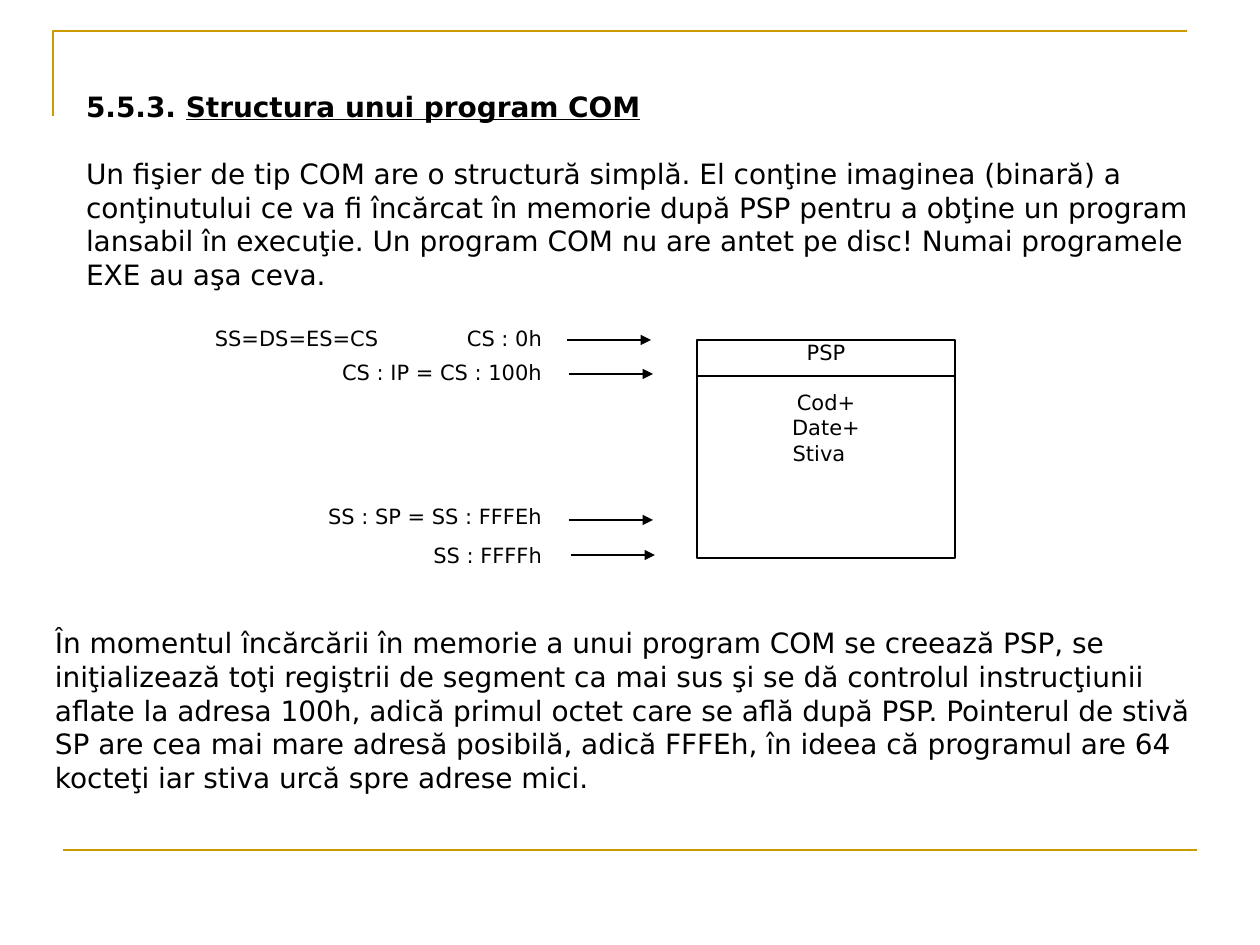
"""Build the slide on the structure of a COM program."""
from dataclasses import dataclass

from lxml import etree
from pptx import Presentation
from pptx.dml.color import RGBColor
from pptx.enum.shapes import MSO_CONNECTOR, MSO_SHAPE
from pptx.enum.text import MSO_ANCHOR, PP_ALIGN
from pptx.oxml.ns import qn
from pptx.util import Emu, Pt

LEFT, CENTER, RIGHT = PP_ALIGN.LEFT, PP_ALIGN.CENTER, PP_ALIGN.RIGHT
TOP = MSO_ANCHOR.TOP
STRAIGHT = MSO_CONNECTOR.STRAIGHT
RECTANGLE = MSO_SHAPE.RECTANGLE
PX_PER_INCH = 126
FONT = "DejaVu Sans"
BLACK, WHITE, GOLD = "000000", "FFFFFF", "CC9900"
TAB_COUNT = 8


@dataclass
class Run:
    text: str
    bold: bool = False
    underline: bool = False


@dataclass
class Line:
    runs: list[Run]
    space_before: int = 0
    right_indent: int = 0


@dataclass
class Box:
    left: int
    top: int
    width: int
    height: int


@dataclass
class Label:
    text: str
    box: Box
    arrow_left: int
    arrow_right: int
    arrow_y: int


BODY_INSETS = (13, 6)
NO_INSETS = (0, 0)
MEMORY = Box(697, 340, 258, 218)
DIVIDER_Y = 376

INTRO = [
    Line([Run("5.5.3. ", bold=True),
          Run("Structura unui program COM", bold=True, underline=True)]),
    Line([Run("Un fişier de tip COM are o structură simplă. El conţine imaginea "
              "(binară) a conţinutului ce va fi încărcat în memorie după PSP pentru "
              "a obţine un program lansabil în execuţie. Un program COM nu are antet "
              "pe disc! Numai programele EXE au aşa ceva.")], space_before=19),
]
CLOSING = [
    Line([Run("În momentul încărcării în memorie a unui program COM se creează PSP, "
              "se iniţializează toţi regiştrii de segment ca mai sus şi se dă "
              "controlul instrucţiunii aflate la adresa 100h, adică primul octet "
              "care se află după PSP. Pointerul de stivă SP are cea mai mare adresă "
              "posibilă, adică FFFEh, în ideea că programul are 64 kocteţi iar stiva "
              "urcă spre adrese mici.")]),
]
MEMORY_LINES = [
    Line([Run("PSP")]),
    Line([Run("Cod+")], space_before=14),
    Line([Run("Date+")]),
    Line([Run("Stiva")], right_indent=14),
]
LABELS = [
    Label("SS=DS=ES=CS\tCS : 0h", Box(73, 325, 469, 34), 567, 651, 340),
    Label("CS : IP = CS : 100h", Box(270, 360, 272, 34), 569, 653, 374),
    Label("SS : SP = SS : FFFEh", Box(248, 504, 294, 34), 569, 653, 520),
    Label("SS : FFFFh", Box(346, 543, 196, 34), 571, 655, 555),
]


def px(length: int) -> Emu:
    """Turn pixels into EMU."""
    return Emu(round(length * 914400 / PX_PER_INCH))


def color(value: str) -> RGBColor:
    """Turn a hex string into a colour."""
    return RGBColor.from_string(value)


def set_values(target, values: dict) -> None:
    """Set each attribute named in the values."""
    for name, value in values.items():
        setattr(target, name, value)


def set_line(shape, line_color: str, width: float) -> None:
    """Give a shape or connector its line."""
    shape.line.color.rgb = color(line_color)
    shape.line.width = Pt(width)


def add_tab_stops(properties) -> None:
    """Add left tab stops one inch apart."""
    tab_list = etree.SubElement(properties, qn("a:tabLst"))
    for index in range(TAB_COUNT):
        etree.SubElement(tab_list, qn("a:tab"),
                         pos=str(px(index * PX_PER_INCH)), algn="l")


def add_text(slide, box: Box, lines: list[Line], size: int, alignment,
             insets: tuple[int, int]) -> None:
    """Add a wrapped text box holding the lines."""
    shape = slide.shapes.add_textbox(px(box.left), px(box.top),
                                     px(box.width), px(box.height))
    frame = shape.text_frame
    side, end = map(px, insets)
    set_values(frame, {"word_wrap": True, "vertical_anchor": TOP,
                       "margin_left": side, "margin_right": side,
                       "margin_top": end, "margin_bottom": end})
    for index, line in enumerate(lines):
        paragraph = frame.add_paragraph() if index else frame.paragraphs[0]
        set_values(paragraph, {"alignment": alignment,
                               "space_before": Pt(line.space_before)})
        properties = paragraph._p.get_or_add_pPr()
        if line.right_indent:
            properties.set("marR", str(px(line.right_indent)))
        add_tab_stops(properties)
        for item in line.runs:
            run = paragraph.add_run()
            run.text = item.text
            set_values(run.font, {"name": FONT, "size": Pt(size), "bold": item.bold,
                                  "underline": item.underline})
            run.font.color.rgb = color(BLACK)


def add_rule(slide, left: int, right: int, y: int, line_color: str = BLACK,
             width: float = 0.75, arrow: bool = False) -> None:
    """Add a horizontal line, with an arrowhead at its right end if asked."""
    connector = slide.shapes.add_connector(STRAIGHT, px(left), px(y), px(right), px(y))
    set_line(connector, line_color, width)
    if arrow:
        etree.SubElement(connector.line._get_or_add_ln(), qn("a:tailEnd"),
                         type="triangle")
    etree.SubElement(connector._element.spPr, qn("a:effectLst"))


def add_corner(slide) -> None:
    """Add the gold corner at the top left."""
    builder = slide.shapes.build_freeform(px(53), px(116))
    builder.add_line_segments([(px(53), px(31)), (px(1187), px(31))], close=False)
    corner = builder.convert_to_shape()
    corner.shadow.inherit = False
    corner.fill.background()
    set_line(corner, GOLD, 1.5)


def add_memory(slide) -> None:
    """Add the memory block with its divider and text."""
    block = slide.shapes.add_shape(RECTANGLE, px(MEMORY.left), px(MEMORY.top),
                                   px(MEMORY.width), px(MEMORY.height))
    block.shadow.inherit = False
    block.fill.solid()
    block.fill.fore_color.rgb = color(WHITE)
    set_line(block, BLACK, 0.75)
    add_rule(slide, MEMORY.left, MEMORY.left + MEMORY.width, DIVIDER_Y)
    add_text(slide, MEMORY, MEMORY_LINES, 12, CENTER, NO_INSETS)


def main() -> None:
    """Build and save the presentation."""
    presentation = Presentation()
    set_values(presentation, {"slide_width": px(1260), "slide_height": px(945)})
    slide = presentation.slides.add_slide(presentation.slide_layouts[6])
    add_corner(slide)
    add_rule(slide, 63, 1197, 850, GOLD, 1.5)
    add_memory(slide)
    for label in LABELS:
        add_rule(slide, label.arrow_left, label.arrow_right, label.arrow_y, arrow=True)
        add_text(slide, label.box, [Line([Run(label.text)])], 12, RIGHT, NO_INSETS)
    add_text(slide, Box(73, 84, 1155, 181), INTRO, 16, LEFT, BODY_INSETS)
    add_text(slide, Box(42, 620, 1187, 147), CLOSING, 16, LEFT, BODY_INSETS)
    presentation.save("out.pptx")


if __name__ == "__main__":
    main()
